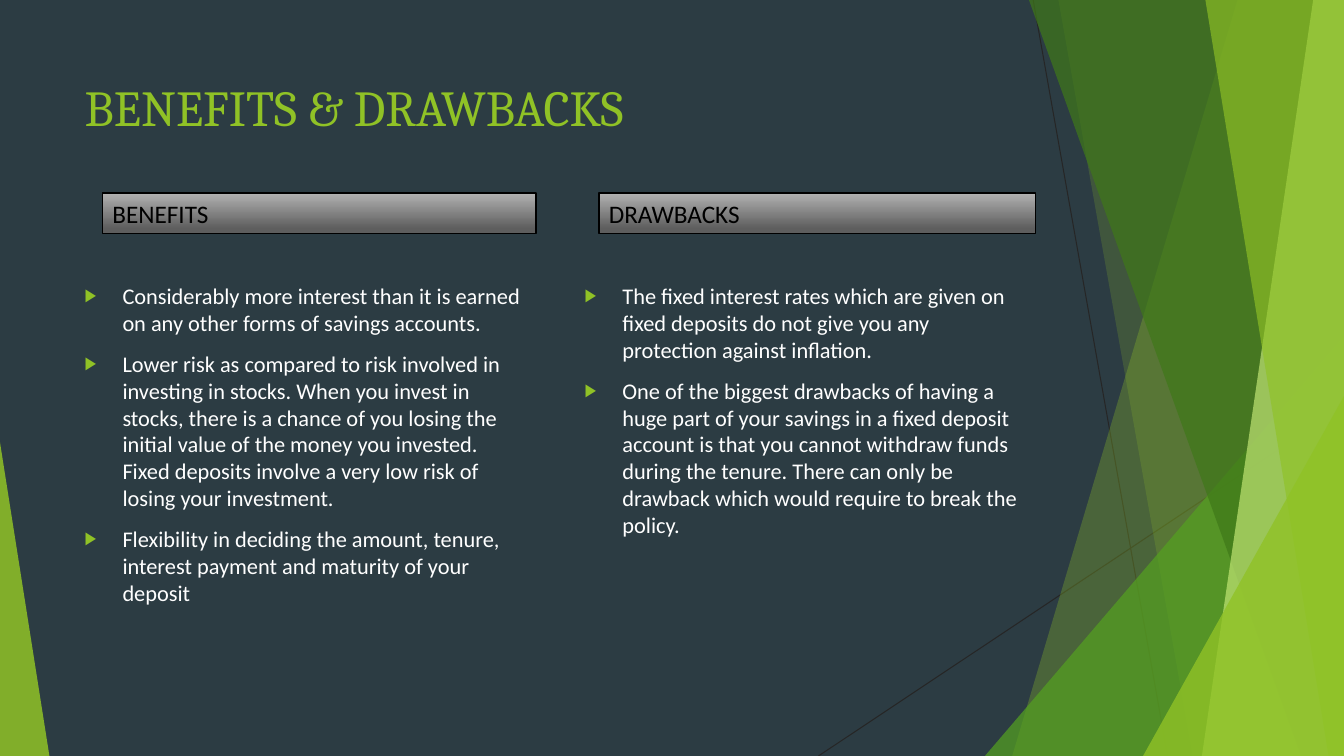
"""Build the benefits and drawbacks slide with its faceted green backdrop."""
from dataclasses import dataclass

from lxml import etree
from pptx import Presentation
from pptx.dml.color import RGBColor
from pptx.enum.shapes import MSO_CONNECTOR, MSO_SHAPE
from pptx.enum.text import MSO_ANCHOR, MSO_AUTO_SIZE, PP_ALIGN
from pptx.oxml.ns import qn
from pptx.util import Pt

TRIANGLE = MSO_SHAPE.ISOSCELES_TRIANGLE
RECTANGLE = MSO_SHAPE.RECTANGLE
STRAIGHT = MSO_CONNECTOR.STRAIGHT
TOP, MIDDLE = MSO_ANCHOR.TOP, MSO_ANCHOR.MIDDLE
LEFT = PP_ALIGN.LEFT
NO_FIT, GROW = MSO_AUTO_SIZE.NONE, MSO_AUTO_SIZE.SHAPE_TO_FIT_TEXT
WIDTH, HEIGHT = 960, 540


@dataclass(frozen=True)
class Theme:
    """Colours, fonts and type sizes."""
    background: str = "2C3C43"
    accent: str = "90C226"
    leaf: str = "54A021"
    forest: str = "3F7819"
    lime: str = "C0E474"
    hairline: str = "262626"
    light: str = "FFFFFF"
    dark: str = "000000"
    bar_top: str = "B2B2B2"
    bar_bottom: str = "5E5E5E"
    title_font: str = "Cambria"
    body_font: str = "Calibri"
    title_size: int = 36
    heading_size: int = 18
    body_size: int = 16


def rgb(color):
    """Return a colour from its hex code."""
    return RGBColor.from_string(color)


class Deck:
    """Hold the theme and the current slide, and draw each kind of element."""

    def __init__(self, slide, theme):
        """Keep the slide and theme and paint the background."""
        self.slide, self.theme, self.shapes = slide, theme, slide.shapes
        slide.background.fill.solid()
        slide.background.fill.fore_color.rgb = rgb(theme.background)

    def line(self, x1, y1, x2, y2):
        """Draw a thin line."""
        cx = self.shapes.add_connector(STRAIGHT, Pt(x1), Pt(y1), Pt(x2), Pt(y2))
        cx.line.color.rgb = rgb(self.theme.hairline)
        cx.line.width = Pt(0.75)
        etree.SubElement(cx._element.spPr, qn("a:effectLst"))

    def tint(self, sp, color, opacity):
        """Fill a shape with a translucent colour and no outline."""
        sp.shadow.inherit = False
        sp.line.fill.background()
        sp.fill.solid()
        sp.fill.fore_color.rgb = rgb(color)
        clr = sp._element.spPr.find(".//" + qn("a:srgbClr"))
        etree.SubElement(clr, qn("a:alpha"), val=str(opacity * 1000))

    def facet(self, top_x, bottom_x, color, opacity):
        """Draw a full-height facet that reaches the right edge."""
        fb = self.shapes.build_freeform(Pt(top_x), 0)
        corners = [(WIDTH, 0), (WIDTH, HEIGHT), (bottom_x, HEIGHT)]
        fb.add_line_segments([(Pt(x), Pt(y)) for x, y in corners])
        self.tint(fb.convert_to_shape(), color, opacity)

    def wedge(self, x, y, width, apex, color, opacity):
        """Draw a triangle that stands on the bottom edge."""
        sp = self.shapes.add_shape(
            TRIANGLE, Pt(x), Pt(y), Pt(width), Pt(HEIGHT - y))
        sp.adjustments[0] = apex
        self.tint(sp, color, opacity)

    def format(self, tf, font, size, color, anchor, fit):
        """Format every run of a text frame."""
        tf.word_wrap, tf.vertical_anchor, tf.auto_size = True, anchor, fit
        for p in tf.paragraphs:
            p.alignment = LEFT
            for r in p.runs:
                r.font.name, r.font.size = font, Pt(size)
                r.font.color.rgb = rgb(color)

    def place(self, sp, x, y, width, height):
        """Move a placeholder and bring it to the front."""
        sp.left, sp.top, sp.width, sp.height = Pt(x), Pt(y), Pt(width), Pt(height)
        self.shapes._spTree.append(sp._element)

    def title(self, text, *box):
        """Fill the title placeholder."""
        sp, t = self.shapes.title, self.theme
        self.place(sp, *box)
        sp.text_frame.text = text
        self.format(sp.text_frame, t.title_font, t.title_size, t.accent,
                    MIDDLE, NO_FIT)

    def bullets(self, idx, items, *box):
        """Fill a body placeholder with a bulleted list."""
        sp, t = self.slide.placeholders[idx], self.theme
        self.place(sp, *box)
        tf = sp.text_frame
        tf.text = "\n".join(items)
        self.format(tf, t.body_font, t.body_size, t.light, TOP, NO_FIT)
        for p in tf.paragraphs:
            p.space_before = Pt(10)
            pPr = p._p.get_or_add_pPr()
            pPr.set("marL", str(Pt(27)))
            pPr.set("indent", str(-Pt(27)))
            clr = etree.SubElement(pPr, qn("a:buClr"))
            etree.SubElement(clr, qn("a:srgbClr"), val=t.accent)
            etree.SubElement(pPr, qn("a:buSzPct"), val="80000")
            etree.SubElement(pPr, qn("a:buChar"), char="\u25b6")

    def heading(self, text, x, y, width, height):
        """Draw a column heading on a gradient bar."""
        t = self.theme
        sp = self.shapes.add_shape(RECTANGLE, Pt(x), Pt(y), Pt(width), Pt(height))
        sp.shadow.inherit = False
        sp.fill.gradient()
        sp.fill.gradient_angle = 270
        stops = [(0, t.bar_top), (0.88, t.bar_bottom)]
        for stop, (position, color) in zip(sp.fill.gradient_stops, stops):
            stop.position, stop.color.rgb = position, rgb(color)
        sp.line.color.rgb = rgb(t.dark)
        sp.line.width = Pt(1)
        sp.text_frame.text = text
        self.format(sp.text_frame, t.body_font, t.heading_size, t.dark, TOP, GROW)


BENEFITS = [
    "Considerably more interest than it is earned on any other forms of "
    "savings accounts.",
    "Lower risk as compared to risk involved in investing in stocks. When you "
    "invest in stocks, there is a chance of you losing the initial value of the "
    "money you invested. Fixed deposits involve a very low risk of losing your "
    "investment.",
    "Flexibility in deciding the amount, tenure, interest payment and maturity "
    "of your deposit",
]
DRAWBACKS = [
    "The fixed interest rates which are given on fixed deposits do not give you "
    "any protection against inflation.",
    "One of the biggest drawbacks of having a huge part of your savings in a "
    "fixed deposit account is that you cannot withdraw funds during the tenure. "
    "There can only be drawback which would require to break the policy.",
]


def main():
    """Build and save the slide."""
    prs = Presentation()
    prs.slide_width, prs.slide_height = Pt(WIDTH), Pt(HEIGHT)
    t = Theme()
    deck = Deck(prs.slides.add_slide(prs.slide_layouts[3]), t)

    deck.line(738, 0, 834, HEIGHT)
    deck.line(WIDTH, 290, 584.6, HEIGHT)
    deck.facet(884, 723, t.accent, 30)
    deck.facet(756, 852, t.accent, 20)
    deck.wedge(703.5, 240, 256.5, 1, t.leaf, 72)
    deck.facet(735, 929.5, t.forest, 70)
    deck.facet(938, 858.5, t.lime, 70)
    deck.facet(861, 949, t.accent, 65)
    deck.wedge(816.5, 283, 143.5, 1, t.accent, 80)
    deck.wedge(0, 316, 35.3, 0, t.accent, 85)

    deck.title("BENEFITS & DRAWBACKS", 53.3, 48.2, 676.8, 55.4)
    deck.bullets(1, BENEFITS, 53.3, 198, 329.8, 317.5)
    deck.bullets(2, DRAWBACKS, 410.4, 198, 329.8, 317.5)
    deck.heading("BENEFITS", 73.2, 137.8, 309.6, 29)
    deck.heading("DRAWBACKS", 427.8, 137.8, 311.8, 29)
    prs.save("out.pptx")


main()
